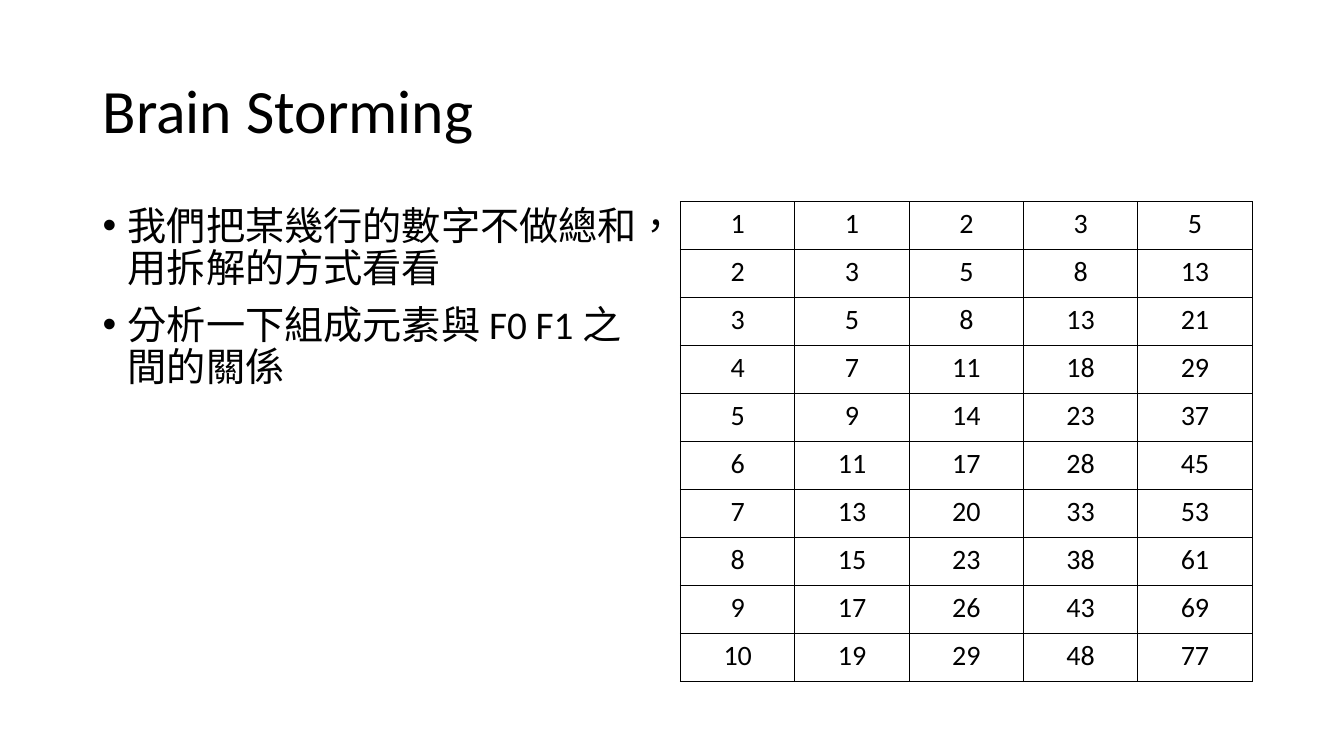
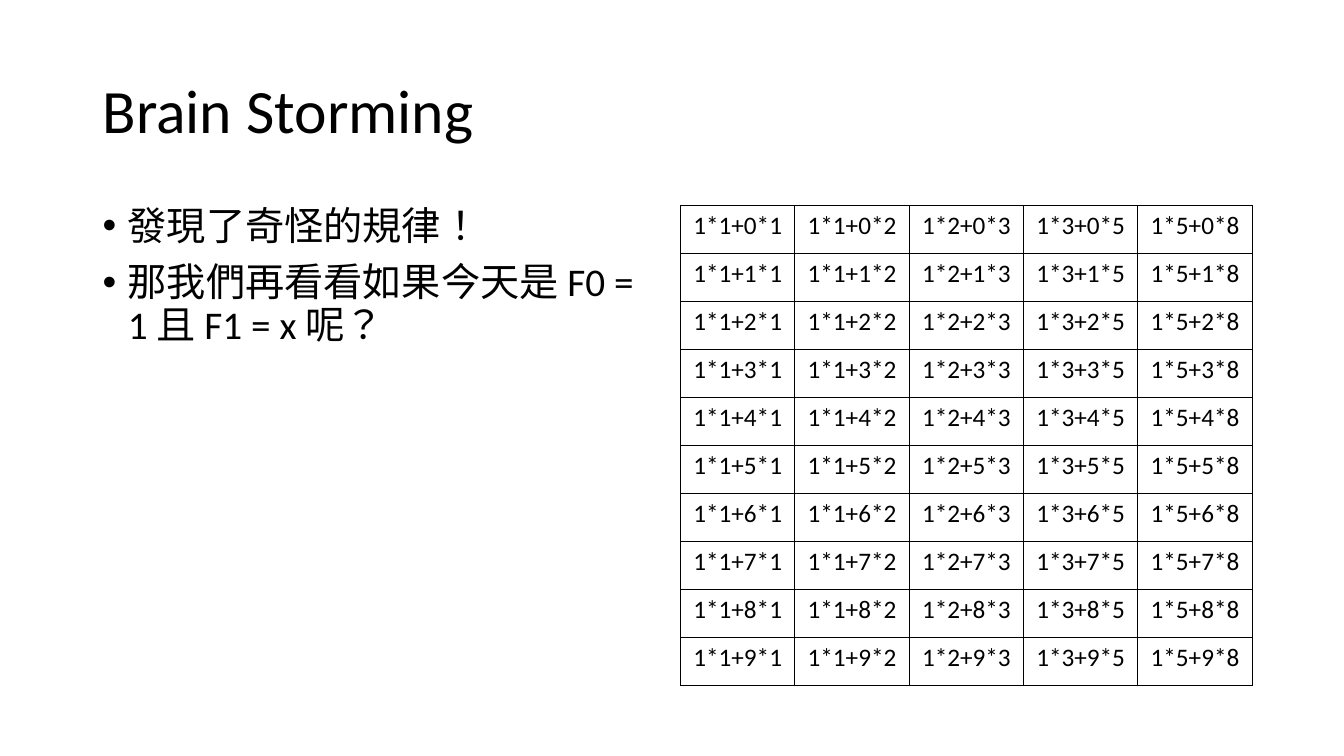
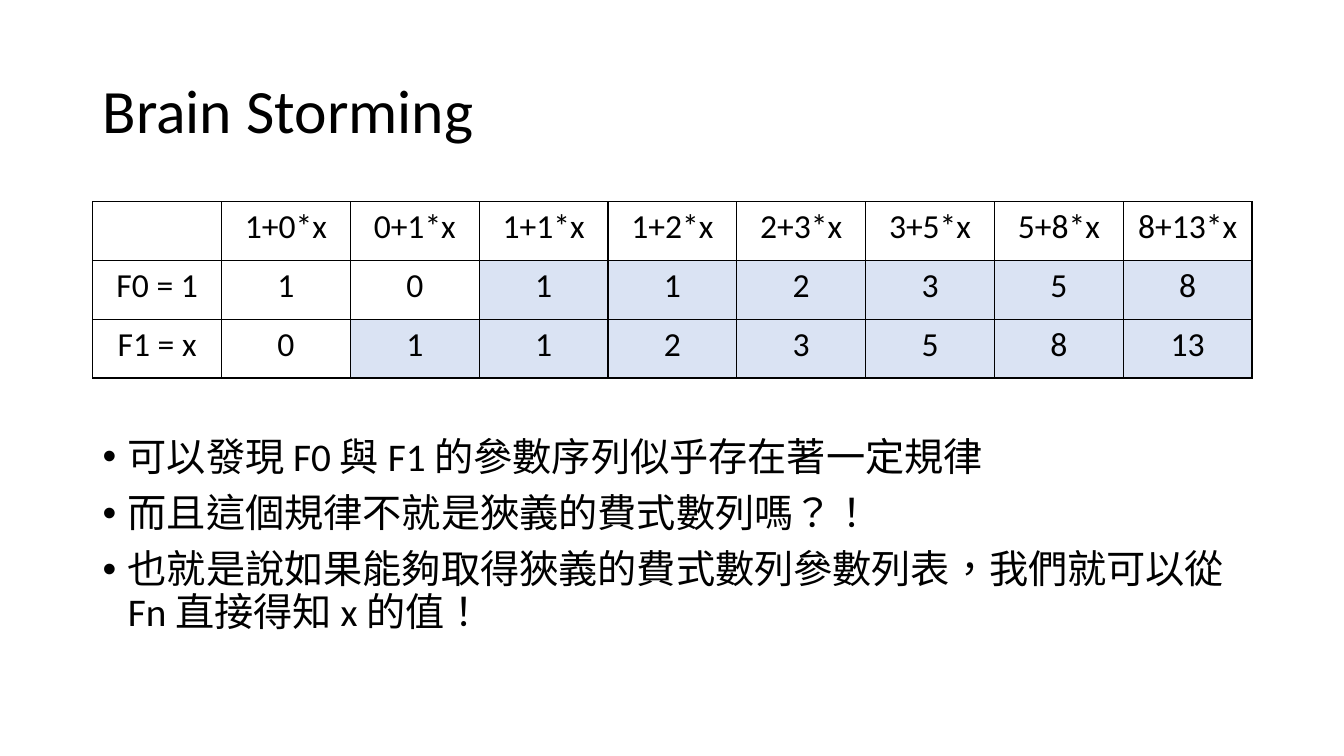
from dataclasses import dataclass

from lxml.etree import SubElement
from pptx import Presentation
from pptx.dml.color import RGBColor
from pptx.enum.lang import MSO_LANGUAGE_ID
from pptx.enum.text import MSO_ANCHOR, PP_ALIGN
from pptx.oxml.ns import qn
from pptx.util import Inches, Pt


@dataclass(frozen=True)
class Theme:
    # Colours and type
    ink: RGBColor = RGBColor(0x00, 0x00, 0x00)
    paper: RGBColor = RGBColor(0xFF, 0xFF, 0xFF)
    highlight: RGBColor = RGBColor(0xDA, 0xE3, 0xF3)
    font: str = "Calibri"
    title_size: int = 44
    body_size: int = 28
    border_width: int = 1
    # Slide and grid: two wide columns, fine rows
    width: float = 13.33
    height: float = 7.5
    margin: float = 0.92
    column: float = 5.67
    gutter: float = 0.16
    row: float = 0.1
    indent: float = 0.25


THEME = Theme()
PARAGRAPH = {"line_spacing": 0.9}
BULLET = {**PARAGRAPH, "space_before": Pt(10)}
CENTRED = {"alignment": PP_ALIGN.CENTER}
BODY_TOP, BODY_ROWS = 20, 47.6


def apply_format(target, values):
    for name, value in values.items():
        setattr(target, name, value)


class Board:
    """Holds the theme, the deck and the slide being filled."""

    def __init__(self, theme):
        self.theme = theme
        self.deck = Presentation()
        apply_format(self.deck, {"slide_width": Inches(theme.width),
                                 "slide_height": Inches(theme.height)})
        self.page = None

    def place(self, column, columns, row, rows):
        """Turn grid cells into left, top, width and height."""
        theme = self.theme
        pitch = theme.column + theme.gutter
        return [Inches(length) for length in (
            theme.margin + column * pitch, row * theme.row,
            columns * pitch - theme.gutter, rows * theme.row)]

    def add_text(self, para, text, size, values):
        apply_format(para, values)
        span = para.add_run()
        span.text = text
        apply_format(span.font, {
            "name": self.theme.font, "size": Pt(size),
            "language_id": MSO_LANGUAGE_ID.TRADITIONAL_CHINESE})
        span.font.color.rgb = self.theme.ink

    def frame(self, area, anchor):
        box = self.page.shapes.add_textbox(*self.place(*area))
        apply_format(box.text_frame, {"word_wrap": True,
                                      "vertical_anchor": anchor})
        return box.text_frame

    def start(self, title):
        self.page = self.deck.slides.add_slide(self.deck.slide_layouts[6])
        frame = self.frame((0, 2, 4, 14.5), MSO_ANCHOR.MIDDLE)
        self.add_text(frame.paragraphs[0], title, self.theme.title_size,
                      PARAGRAPH)

    def bullets(self, area, lines):
        frame = self.frame(area, MSO_ANCHOR.TOP)
        indent = Inches(self.theme.indent)
        for index, line in enumerate(lines):
            para = frame.add_paragraph() if index else frame.paragraphs[0]
            self.add_text(para, line, self.theme.body_size, BULLET)
            # Hanging bullet
            format_node = para._p.get_or_add_pPr()
            format_node.set("marL", str(indent))
            format_node.set("indent", str(-indent))
            SubElement(format_node, qn("a:buFont"), typeface="Arial")
            SubElement(format_node, qn("a:buChar"), char="•")

    def border(self, cell):
        cell_node = cell._tc.get_or_add_tcPr()
        for side in ("lnL", "lnR", "lnT", "lnB"):
            line = SubElement(cell_node, qn(f"a:{side}"),
                              w=str(Pt(self.theme.border_width)))
            fill = SubElement(line, qn("a:solidFill"))
            SubElement(fill, qn("a:srgbClr"), val=str(self.theme.ink))

    def table(self, area, rows, size, highlighted=()):
        table = self.page.shapes.add_table(
            len(rows), len(rows[0]), *self.place(*area)).table
        apply_format(table, {"first_row": False, "horz_banding": False})
        for r, row in enumerate(rows):
            for c, text in enumerate(row):
                cell = table.cell(r, c)
                self.border(cell)
                cell.fill.solid()
                cell.fill.fore_color.rgb = (
                    self.theme.highlight if (r, c) in highlighted
                    else self.theme.paper)
                if text:
                    self.add_text(cell.text_frame.paragraphs[0], text, size,
                                  CENTRED)


def coefficients(count):
    """Pairs (a, b) for which the n-th term equals a * F0 + b * F1."""
    pairs = [(1, 0), (0, 1)]
    while len(pairs) < count:
        pairs.append(tuple(map(sum, zip(*pairs[-2:]))))
    return pairs


def main():
    board = Board(THEME)
    title = "Brain Storming"
    pairs = coefficients(8)
    later_pairs = pairs[2:7]
    left_half = (0, 1, BODY_TOP, BODY_ROWS)

    # Sums
    board.start(title)
    board.bullets(left_half, ["我們把某幾行的數字不做總和，用拆解的方式看看",
                              "分析一下組成元素與 F0 F1 之間的關係"])
    sums = [[str(a + n * b) for a, b in later_pairs] for n in range(10)]
    board.table((1, 1, BODY_TOP, BODY_ROWS), sums, 20)

    # Sums taken apart
    board.start(title)
    board.bullets(left_half, ["發現了奇怪的規律！",
                              "那我們再看看如果今天是 F0 = 1 且 F1 = x 呢？"])
    products = [[f"1*{a}+{n}*{b}" for a, b in later_pairs] for n in range(10)]
    board.table((1, 1, BODY_TOP + 0.4, BODY_ROWS), products, 18)

    # Coefficients of F0 and F1
    board.start(title)
    rows = [["", *(f"{a}+{b}*x" for a, b in pairs)],
            ["F0 = 1", *(str(a) for a, b in pairs)],
            ["F1 = x", *(str(b) for a, b in pairs)]]
    sequence = {(r, c) for r, first in ((1, 3), (2, 2))
                for c in range(first, len(rows[0]))}
    board.table((0, 2, BODY_TOP, 17.5), rows, 24, sequence)
    board.bullets((0, 2, 42.9, 24.7), [
        "可以發現 F0 與 F1 的參數序列似乎存在著一定規律",
        "而且這個規律不就是狹義的費式數列嗎？！",
        "也就是說如果能夠取得狹義的費式數列參數列表，我們就可以從 Fn 直接得知 x 的值！"])

    board.deck.save("out.pptx")


if __name__ == "__main__":
    main()
